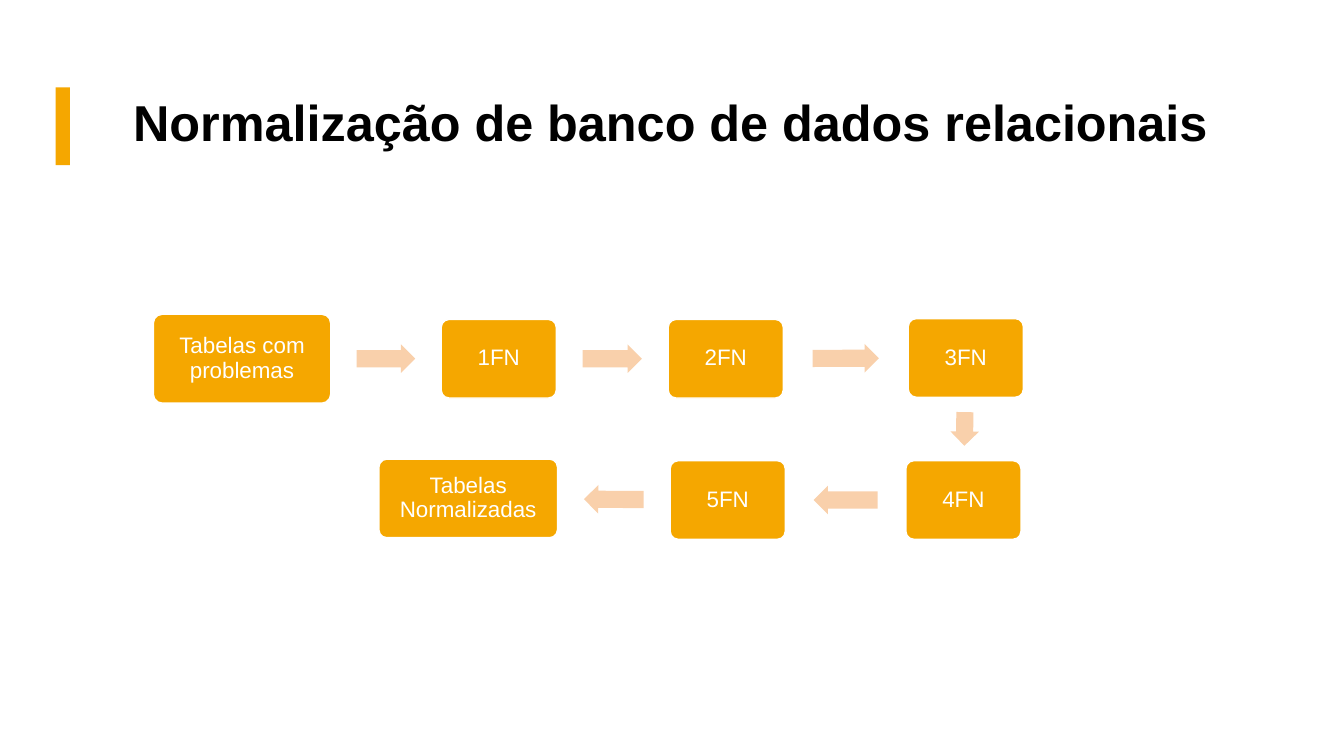
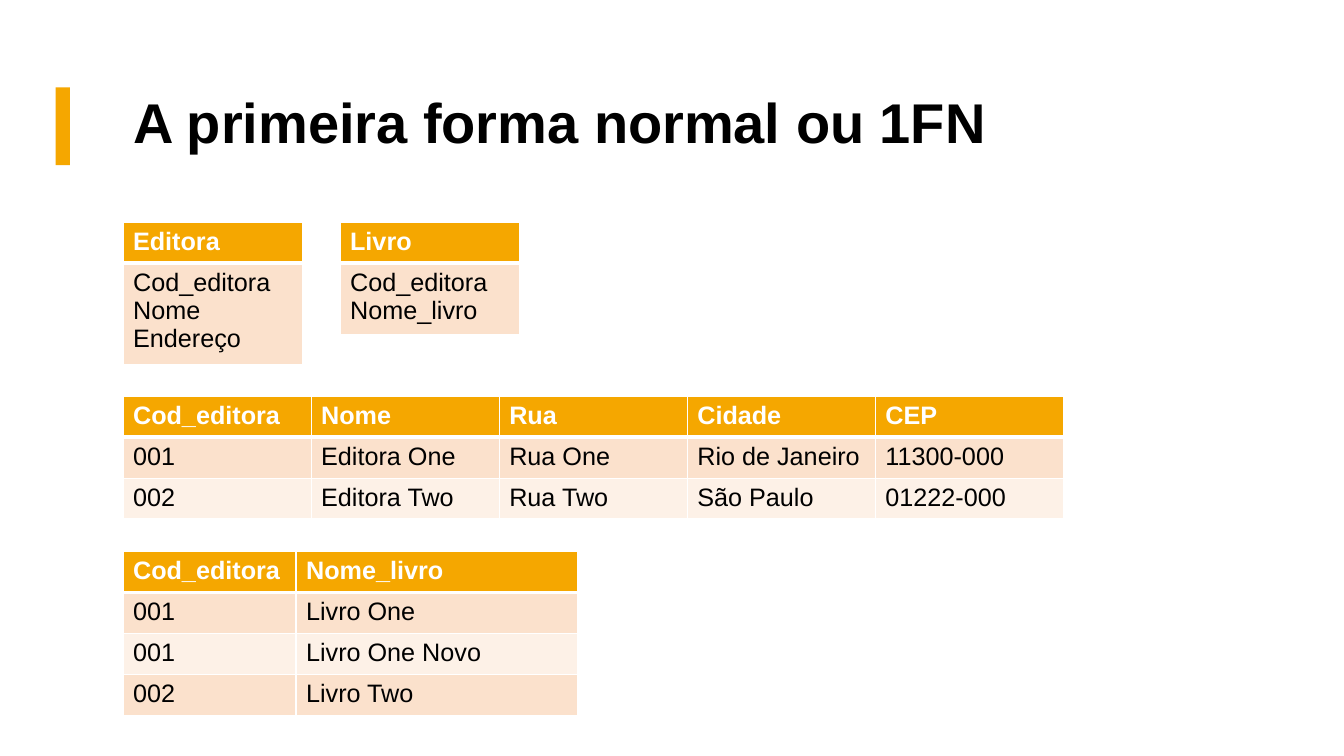
from math import atan2, degrees

from lxml.etree import SubElement
from pptx import Presentation
from pptx.dml.color import RGBColor
from pptx.enum.shapes import MSO_SHAPE
from pptx.enum.text import MSO_ANCHOR, MSO_AUTO_SIZE, PP_ALIGN
from pptx.oxml.ns import qn
from pptx.util import Cm, Pt

FONT = "Arial"
AMBER = RGBColor(0xF5, 0xA7, 0x00)
PEACH = RGBColor(0xF9, 0xD0, 0xAB)
BAND_DARK = RGBColor(0xFB, 0xE1, 0xCC)
BAND_LIGHT = RGBColor(0xFD, 0xF1, 0xE7)
WHITE = RGBColor(0xFF, 0xFF, 0xFF)
BLACK = RGBColor(0x00, 0x00, 0x00)

FLOW_TITLE = "Normalização de banco de dados relacionais"
# label, centre x, centre y, width, height (cm), in reading order of the flow
FLOW_STEPS = [
    ("Tabelas com problemas", 6.1, 9.04, 4.47, 2.24),
    ("1FN", 12.57, 9.04, 2.9, 1.98),
    ("2FN", 18.29, 9.04, 2.9, 1.98),
    ("3FN", 24.34, 9.02, 2.9, 1.98),
    ("4FN", 24.28, 12.6, 2.9, 1.98),
    ("5FN", 18.34, 12.6, 2.9, 1.98),
    ("Tabelas Normalizadas", 11.8, 12.56, 4.5, 1.98),
]
ARROW_SHARE = 0.53  # part of the gap between two steps
ARROW_HEIGHT = 0.72

FIRST_FORM_TITLE = "A primeira forma normal ou 1FN"
# left, top, column widths (cm), rows with the header first
FIRST_FORM_TABLES = [
    (3.1, 5.6, [4.52], [["Editora"], ["Cod_editora\nNome\nEndereço"]]),
    (8.57, 5.6, [4.52], [["Livro"], ["Cod_editora\nNome_livro"]]),
    (3.1, 9.99, [4.74] * 5, [
        ["Cod_editora", "Nome", "Rua", "Cidade", "CEP"],
        ["001", "Editora One", "Rua One", "Rio de Janeiro", "11300-000"],
        ["002", "Editora Two", "Rua Two", "São Paulo", "01222-000"],
    ]),
    (3.1, 13.9, [4.36, 7.09], [
        ["Cod_editora", "Nome_livro"],
        ["001", "Livro One"],
        ["001", "Livro One Novo"],
        ["002", "Livro Two"],
    ]),
]
LINE_HEIGHT = 0.76
CELL_PADDING = 0.27


def style_text(text_frame, size, color, bold=False):
    for paragraph in text_frame.paragraphs:
        for run in paragraph.runs:
            font = run.font
            font.name, font.size, font.bold = FONT, Pt(size), bold
            font.color.rgb = color


def add_filled(slide, preset, left, top, width, height, color):
    """Add a plain preset shape without line or shadow, measured in cm."""
    shape = slide.shapes.add_shape(preset, Cm(left), Cm(top), Cm(width), Cm(height))
    shape.shadow.inherit = False
    shape.fill.solid()
    shape.fill.fore_color.rgb = color
    shape.line.fill.background()
    return shape


def add_titled_slide(prs, layout, title, size):
    slide = prs.slides.add_slide(layout)
    frame = slide.shapes.title.text_frame
    frame.text = title
    frame.auto_size = MSO_AUTO_SIZE.NONE
    frame.vertical_anchor = MSO_ANCHOR.MIDDLE
    frame.paragraphs[0].alignment = PP_ALIGN.LEFT
    frame.paragraphs[0].line_spacing = 0.9
    style_text(frame, size, BLACK, bold=True)
    return slide


def add_step(slide, label, x, y, width, height):
    step = add_filled(slide, MSO_SHAPE.ROUNDED_RECTANGLE,
                      x - width / 2, y - height / 2, width, height, AMBER)
    step.adjustments[0] = 0.1
    step.line.color.rgb = WHITE
    step.line.width = Pt(1)
    frame = step.text_frame
    frame.text = label
    frame.word_wrap = True
    frame.vertical_anchor = MSO_ANCHOR.MIDDLE
    frame.margin_left = frame.margin_right = Cm(0.17)
    frame.margin_top = frame.margin_bottom = Cm(0.17)
    frame.paragraphs[0].alignment = PP_ALIGN.CENTER
    frame.paragraphs[0].line_spacing = 0.9
    style_text(frame, 16, WHITE)


def add_step_arrow(slide, start, end):
    """Centre an arrow in the gap between two steps, aimed along their centres."""
    _, x1, y1, width1, height1 = start
    _, x2, y2, width2, height2 = end
    dx, dy = x2 - x1, y2 - y1
    if abs(dx) > abs(dy):
        distance, half1, half2 = abs(dx), width1 / 2, width2 / 2
    else:
        distance, half1, half2 = abs(dy), height1 / 2, height2 / 2
    gap = distance - half1 - half2
    middle = (half1 + gap / 2) / distance
    length = gap * ARROW_SHARE
    arrow = add_filled(slide, MSO_SHAPE.RIGHT_ARROW,
                       x1 + dx * middle - length / 2,
                       y1 + dy * middle - ARROW_HEIGHT / 2,
                       length, ARROW_HEIGHT, PEACH)
    arrow.adjustments[0] = 0.6
    arrow.adjustments[1] = 0.5
    arrow.rotation = degrees(atan2(dy, dx))


def set_borders(cell, top, bottom):
    """Draw white borders; the sides are 1 pt wide."""
    properties = cell._tc.get_or_add_tcPr()
    for edge, width in (("L", 1), ("R", 1), ("T", top), ("B", bottom)):
        line = SubElement(properties, qn(f"a:ln{edge}"), w=str(Pt(width)))
        fill = SubElement(line, qn("a:solidFill"))
        SubElement(fill, qn("a:srgbClr"), val=str(WHITE))


def add_data_table(slide, left, top, widths, rows):
    heights = [CELL_PADDING + LINE_HEIGHT * max(text.count("\n") + 1 for text in row)
               for row in rows]
    table = slide.shapes.add_table(len(rows), len(widths), Cm(left), Cm(top),
                                   Cm(sum(widths)), Cm(sum(heights))).table
    for column, width in zip(table.columns, widths):
        column.width = Cm(width)
    for r, (row, height) in enumerate(zip(rows, heights)):
        table.rows[r].height = Cm(height)
        header = r == 0
        background = AMBER if header else BAND_DARK if r % 2 else BAND_LIGHT
        for c, text in enumerate(row):
            cell = table.cell(r, c)
            cell.text = text
            set_borders(cell, top=3 if r == 1 else 1, bottom=3 if header else 1)
            cell.fill.solid()
            cell.fill.fore_color.rgb = background
            style_text(cell.text_frame, 18, WHITE if header else BLACK, bold=header)


def main():
    prs = Presentation()
    prs.slide_width, prs.slide_height = Cm(33.87), Cm(19.05)
    layout = prs.slide_layouts[5]
    title = layout.placeholders[0]
    title.left, title.top = Cm(3.1), Cm(1.52)
    title.width, title.height = Cm(28.24), Cm(3.28)

    flow = add_titled_slide(prs, layout, FLOW_TITLE, 36)
    # The accent bar belongs to the layout, so every slide shows it.
    accent_bar = add_filled(flow, MSO_SHAPE.RECTANGLE, 1.4, 2.2, 0.36, 1.96, AMBER)
    layout.shapes.element.append(accent_bar.element)

    for step in FLOW_STEPS:
        add_step(flow, *step)
    for start, end in zip(FLOW_STEPS, FLOW_STEPS[1:]):
        add_step_arrow(flow, start, end)

    first_form = add_titled_slide(prs, layout, FIRST_FORM_TITLE, 40)
    for data in FIRST_FORM_TABLES:
        add_data_table(first_form, *data)

    prs.save("out.pptx")


if __name__ == "__main__":
    main()
